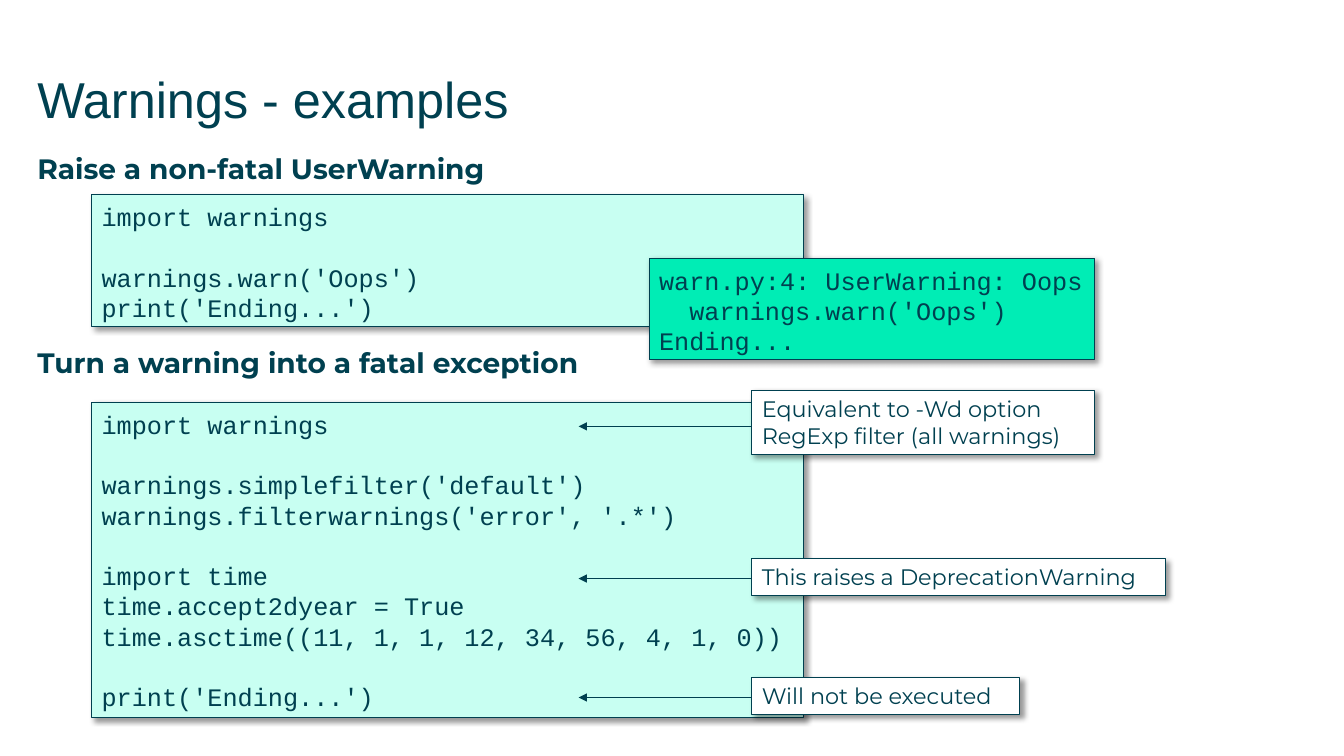
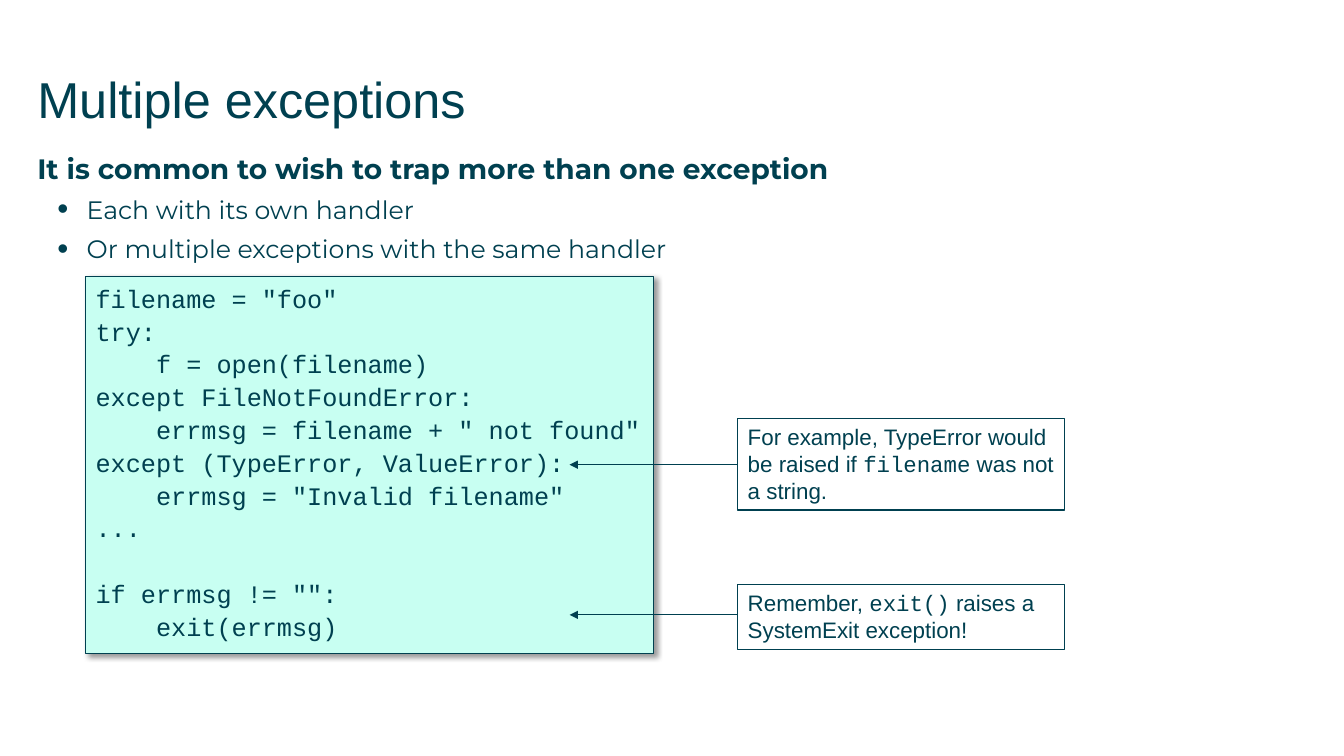
import pptx
import pptx.util
import pptx.dml.color
import pptx.enum.shapes
import pptx.enum.text
import pptx.oxml

RGB = pptx.dml.color.RGBColor
Pt = pptx.util.Pt
INK = RGB(0x00, 0x40, 0x50)
MINT = RGB(0xC8, 0xFF, 0xF2)
GREEN = RGB(0x00, 0xED, 0xB5)
WHITE = RGB(0xFF, 0xFF, 0xFF)
SANS, MONO, BRAND = "Arial", "Courier New", "Montserrat"
NS = 'xmlns:a="http://schemas.openxmlformats.org/drawingml/2006/main"'
SCALE = 9144  # EMU in one px, 100 px to the inch
LEAD = 1.2  # line height as a share of the text size


def px(n):
    return pptx.util.Emu(n * SCALE)


def node(xml):
    """Parse one DrawingML element; the first blank takes the namespace."""
    return pptx.oxml.parse_xml(xml.replace("NS", NS, 1))


class Deck:
    def __init__(self):
        self.prs = pptx.Presentation()
        self.prs.slide_width = Pt(960)
        self.prs.slide_height = Pt(540)
        self.slide = None

    def style(self, run, font, size, bold=False):
        run.font.name, run.font.size, run.font.bold = font, Pt(size), bold
        run.font.color.rgb = INK

    def frame(self, shape, left=0, top=0, right=0, bottom=0):
        text = shape.text_frame
        text.word_wrap = True
        text.auto_size = pptx.enum.text.MSO_AUTO_SIZE.NONE
        text.vertical_anchor = pptx.enum.text.MSO_ANCHOR.TOP
        text.margin_left, text.margin_top = px(left), px(top)
        text.margin_right, text.margin_bottom = px(right), px(bottom)
        return text

    def place(self, shape, x, y, w, h):
        shape.left, shape.top, shape.width, shape.height = map(px, (x, y, w, h))

    def page(self, title):
        """Start a slide with its title."""
        self.slide = self.prs.slides.add_slide(self.prs.slide_layouts[1])
        head = self.slide.shapes.title
        self.place(head, 37, 61, 1260, 88)
        text = self.frame(head, top=7)
        text.text = title
        para = text.paragraphs[0]
        para.alignment = pptx.enum.text.PP_ALIGN.LEFT
        self.style(para.runs[0], SANS, 36)

    def body(self, items):
        """Fill the body from (level, space before, text) items."""
        hold = self.slide.placeholders[1]
        self.place(hold, 37, 150, 1259, 542)
        text = self.frame(hold)
        text.text = "\n".join(item[2] for item in items)
        for para, (level, gap, _) in zip(text.paragraphs, items):
            para.level = level
            para.space_before, para.space_after = Pt(gap), Pt(6.5)
            self.style(para.runs[0], BRAND, 18 if level else 20, not level)
            prop = para._p.get_or_add_pPr()
            prop.set("marL", str(px(49 * level)))
            prop.set("indent", str(px(-29 * level)))
            if level:
                prop.append(node('<a:buSzPct NS val="125000"/>'))
                prop.append(node('<a:buChar NS char="•"/>'))
            else:
                prop.append(node("<a:buNone NS/>"))

    def box(self, at, fill=None, shade=True):
        """Draw an outlined panel."""
        kind = pptx.enum.shapes.MSO_SHAPE.RECTANGLE
        shape = self.slide.shapes.add_shape(kind, *map(px, at))
        if fill is None:
            shape.fill.background()
        else:
            shape.fill.solid()
            shape.fill.fore_color.rgb = fill
        shape.line.color.rgb, shape.line.width = INK, Pt(0.75)
        shape.shadow.inherit = False
        if shade:
            shape._element.spPr.find(pptx.oxml.ns.qn("a:effectLst")).append(node(
                '<a:outerShdw NS blurRad="50800" dist="38100" dir="2700000">'
                '<a:srgbClr val="000000"><a:alpha val="40000"/></a:srgbClr>'
                "</a:outerShdw>"))
        return shape

    def para(self, text, first):
        para = text.paragraphs[0] if first else text.add_paragraph()
        para.alignment = pptx.enum.text.PP_ALIGN.LEFT
        return para

    def code(self, at, source, fill=MINT, gap=0):
        """Show a listing; an empty line becomes space before the next."""
        text = self.frame(self.box(at, fill), 10, 7, 10, 5)
        size, skip = 18, 0
        for num, line in enumerate(source.split("\n")):
            if not line:
                skip += size * LEAD + gap
                continue
            para = self.para(text, num == 0)
            para.text = line
            para.line_spacing = Pt(size * LEAD)
            para.space_before = Pt(gap + skip)
            self.style(para.runs[0], MONO, size)
            skip = 0

    def note(self, at, words, font=BRAND, fill=WHITE, shade=True):
        """Show a callout; words between backticks are set as code."""
        text = self.frame(self.box(at, fill, shade), 10, 5, 10, 5)
        for num, line in enumerate(words.split("\n")):
            para = self.para(text, num == 0)
            para.line_spacing = Pt(16 * LEAD)
            for odd, part in enumerate(line.split("`")):
                run = para.add_run()
                run.text = part
                self.style(run, MONO if odd % 2 else font, 16)

    def arrow(self, start, end, y):
        kind = pptx.enum.shapes.MSO_CONNECTOR.STRAIGHT
        line = self.slide.shapes.add_connector(
            kind, px(start), px(y), px(end), px(y))
        line.line.color.rgb, line.line.width = INK, Pt(0.75)
        line.line._get_or_add_ln().append(node('<a:tailEnd NS type="triangle"/>'))
        line._element.spPr.append(node("<a:effectLst NS/>"))


WARN = """import warnings

warnings.warn('Oops')
print('Ending...')"""

RESULT = """warn.py:4: UserWarning: Oops
  warnings.warn('Oops')
Ending..."""

FATAL = """import warnings

warnings.simplefilter('default')
warnings.filterwarnings('error', '.*')

import time
time.accept2dyear = True
time.asctime((11, 1, 1, 12, 34, 56, 4, 1, 0))

print('Ending...')"""

TRAP = """filename = "foo"
try:
    f = open(filename)
except FileNotFoundError:
    errmsg = filename + " not found"
except (TypeError, ValueError):
    errmsg = "Invalid filename"
...

if errmsg != "":
    exit(errmsg)"""


def warnings(deck):
    deck.page("Warnings - examples")
    deck.body([(0, 0, "Raise a non-fatal UserWarning"),
               (0, 108, "Turn a warning into a fatal exception")])
    # Listings and output
    deck.code((91, 399, 706, 313), FATAL)
    deck.code((91, 193, 706, 131), WARN)
    deck.code((644, 256, 442, 101), RESULT, GREEN)
    # Callouts
    notes = [(387, 340, 64, 423,
              "Equivalent to -Wd option\nRegExp filter (all warnings)"),
             (554, 410, 37, 574, "This raises a DeprecationWarning"),
             (672, 266, 37, 692, "Will not be executed")]
    for top, wide, high, mid, words in notes:
        deck.note((746, top, wide, high), words)
        deck.arrow(746, 574, mid)


def traps(deck):
    deck.page("Multiple exceptions")
    deck.body([(0, 0, "It is common to wish to trap more than one exception"),
               (1, 0, "Each with its own handler"),
               (1, 0, "Or multiple exceptions with the same handler")])
    # Listing
    deck.code((85, 274, 563, 374), TRAP, gap=1.8)
    # Callouts
    notes = [(415, 91, 461, "For example, TypeError would be raised if "
              "`filename` was not a string."),
             (580, 64, 610, "Remember, `exit()` raises a "
              "SystemExit exception!")]
    for top, high, mid, words in notes:
        deck.note((732, top, 324, high), words, SANS, None, False)
        deck.arrow(732, 565, mid)


def main():
    deck = Deck()
    warnings(deck)
    traps(deck)
    deck.prs.save("out.pptx")


if __name__ == "__main__":
    main()
